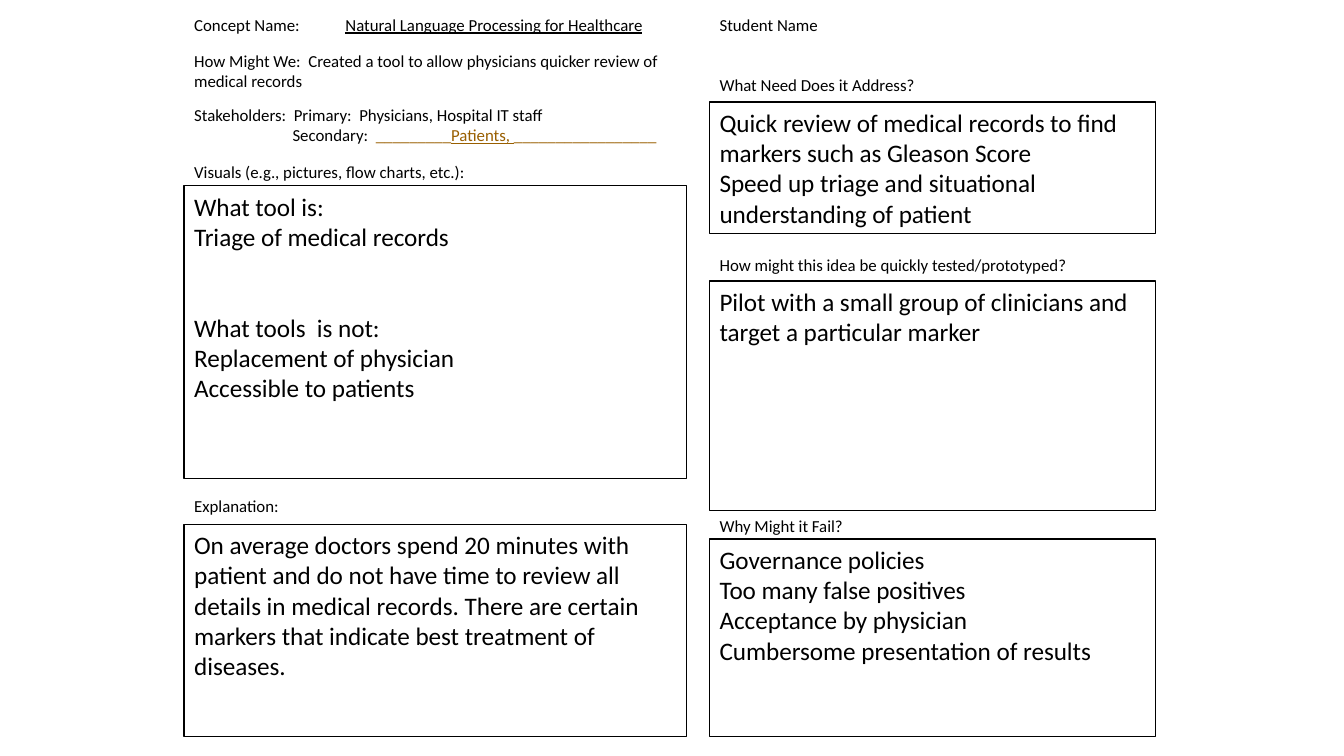
from lxml import etree
from pptx import Presentation
from pptx.dml.color import RGBColor
from pptx.enum import shapes, text
from pptx.oxml.ns import qn
from pptx.util import Cm, Pt

COLORS = {"ink": "000000", "paper": "FFFFFF", "answer": "995F00"}
FONT = "Calibri"
LABEL_SIZE, ANSWER_SIZE = 9, 13.5
LABEL_HEIGHT = 0.58
FRAME_FORMAT = {
    "word_wrap": True,
    "auto_size": text.MSO_AUTO_SIZE.NONE,
    "vertical_anchor": text.MSO_ANCHOR.TOP,
    "margin_left": Cm(0.19),
    "margin_right": Cm(0.19),
    "margin_top": Cm(0.1),
    "margin_bottom": Cm(0.1),
}


def apply(target, values):
    for name, value in values.items():
        setattr(target, name, value)


def rgb(name):
    return RGBColor.from_string(COLORS[name])


def write(shape, lines, size):
    """Fill a shape with lines; a line is a string or a list of (text, color, underline) runs."""
    frame = shape.text_frame
    apply(frame, FRAME_FORMAT)
    for number, line in enumerate(lines):
        paragraph = frame.paragraphs[0] if number == 0 else frame.add_paragraph()
        paragraph.alignment = text.PP_ALIGN.LEFT
        runs = [(line, "ink", False)] if isinstance(line, str) else line
        for words, color, underline in runs:
            run = paragraph.add_run()
            run.text = words
            apply(run.font, {"name": FONT, "size": Pt(size), "underline": underline})
            run.font.color.rgb = rgb(color)
    return frame.paragraphs


def add_label(slide, left, top, width, lines, height=LABEL_HEIGHT):
    box = slide.shapes.add_textbox(Cm(left), Cm(top), Cm(width), Cm(height))
    return write(box, lines, LABEL_SIZE)


def add_answer(slide, left, top, width, height, lines):
    box = slide.shapes.add_shape(
        shapes.MSO_SHAPE.RECTANGLE, Cm(left), Cm(top), Cm(width), Cm(height))
    box.shadow.inherit = False
    box.fill.background()
    box.line.color.rgb = rgb("ink")
    box.line.width = Pt(0.75)
    return write(box, lines, ANSWER_SIZE)


def add_tab_stop(paragraph, position):
    properties = paragraph._p.get_or_add_pPr()
    tabs = etree.SubElement(properties, qn("a:tabLst"))
    etree.SubElement(tabs, qn("a:tab"), pos=str(Cm(position)), algn="l")


def add_concept_header(slide, left, top, width):
    concept = add_label(slide, left, top, width, [[
        ("Concept Name:\t", "ink", False),
        ("Natural Language Processing for Healthcare", "ink", True),
    ]])
    add_tab_stop(concept[0], 2.86)
    add_label(slide, left, top + 0.68, width, [
        "How Might We:  Created a tool to allow physicians quicker review of medical records",
    ], height=0.97)
    stakeholders = add_label(slide, left, top + 1.7, width, [
        "Stakeholders:  Primary:  Physicians, Hospital IT staff",
        [("Secondary:  ", "ink", False),
         ("_" * 9, "answer", False),
         ("Patients, ", "answer", True),
         ("_" * 17, "answer", False)],
    ], height=1.35)
    stakeholders[1]._p.get_or_add_pPr().set("marL", str(Cm(1.86)))


def add_concept_column(slide, left, top, width):
    add_concept_header(slide, left, top, width)
    add_label(slide, left, top + 2.77, 7.67, ["Visuals (e.g., pictures, flow charts, etc.):"])
    visuals = add_answer(slide, left, top + 3.33, width, 5.54, [
        "What tool is:",
        "Triage of medical records",
        "What tools  is not:",
        "Replacement of physician",
        "Accessible to patients",
    ])
    visuals[2].space_before = Pt(32.4)
    add_label(slide, left, top + 9.09, 2.01, ["Explanation:"])
    add_answer(slide, left, top + 9.73, width, 4.01, [
        "On average doctors spend 20 minutes with patient and do not have time to review "
        "all details in medical records. There are certain markers that indicate best "
        "treatment of diseases.",
    ])


def add_question_column(slide, left, top, width):
    add_label(slide, left, top, width, ["Student Name"])
    questions = [
        (1.14, 4.11, "What Need Does it Address?", 1.75, 2.49, [
            "Quick review of medical records to find markers such as Gleason Score",
            "Speed up triage and situational understanding of patient"]),
        (4.54, 7.11, "How might this idea be quickly tested/prototyped?", 5.13, 4.34, [
            "Pilot with a small group of clinicians and target a particular marker"]),
        (9.47, 2.77, "Why Might it Fail?", 10.01, 3.73, [
            "Governance policies",
            "Too many false positives",
            "Acceptance by physician",
            "Cumbersome presentation of results"]),
    ]
    for label_top, label_width, question, box_top, box_height, answers in questions:
        add_label(slide, left, top + label_top, label_width, [question])
        add_answer(slide, left, top + box_top, width, box_height, answers)


def main():
    presentation = Presentation()
    apply(presentation, {"slide_width": Cm(25.4), "slide_height": Cm(14.29)})
    slide = presentation.slides.add_slide(presentation.slide_layouts[6])
    slide.background.fill.solid()
    slide.background.fill.fore_color.rgb = rgb("paper")
    add_concept_column(slide, left=3.48, top=0.18, width=9.5)
    add_question_column(slide, left=13.41, top=0.18, width=8.43)
    presentation.save("out.pptx")


if __name__ == "__main__":
    main()
